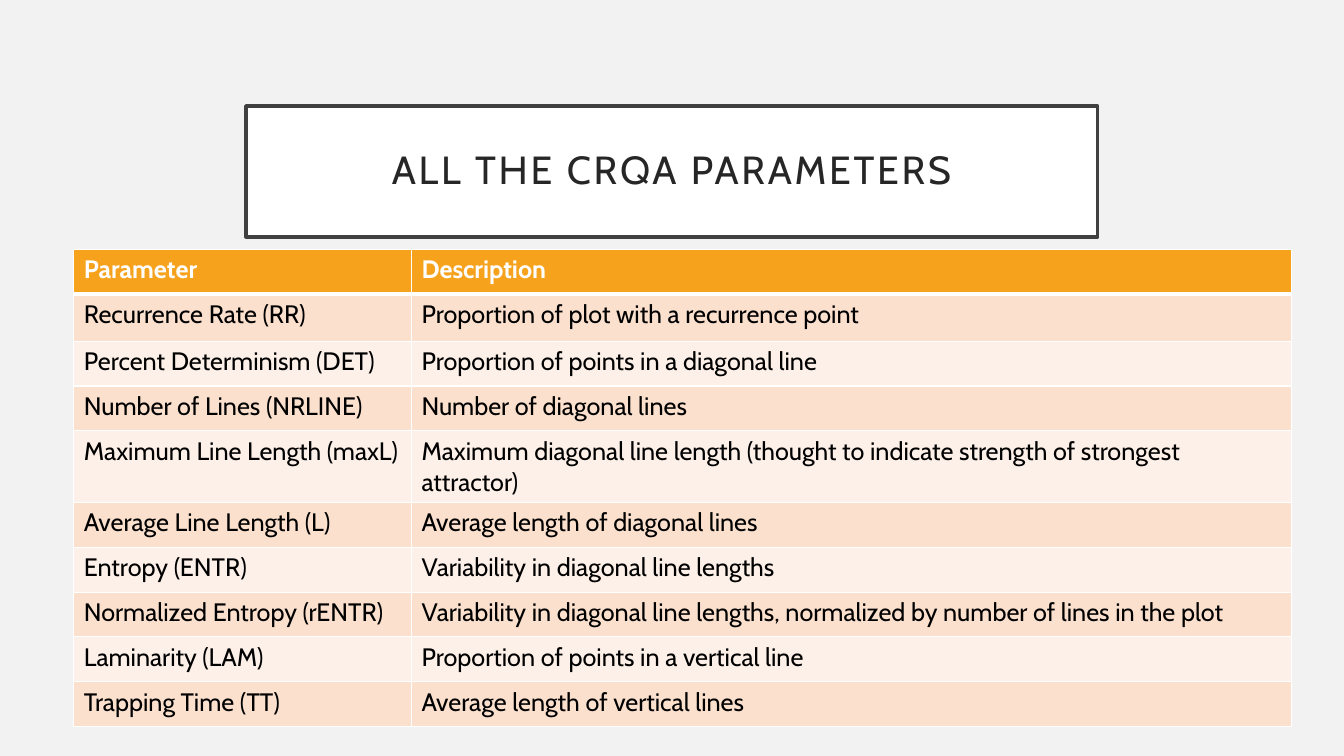
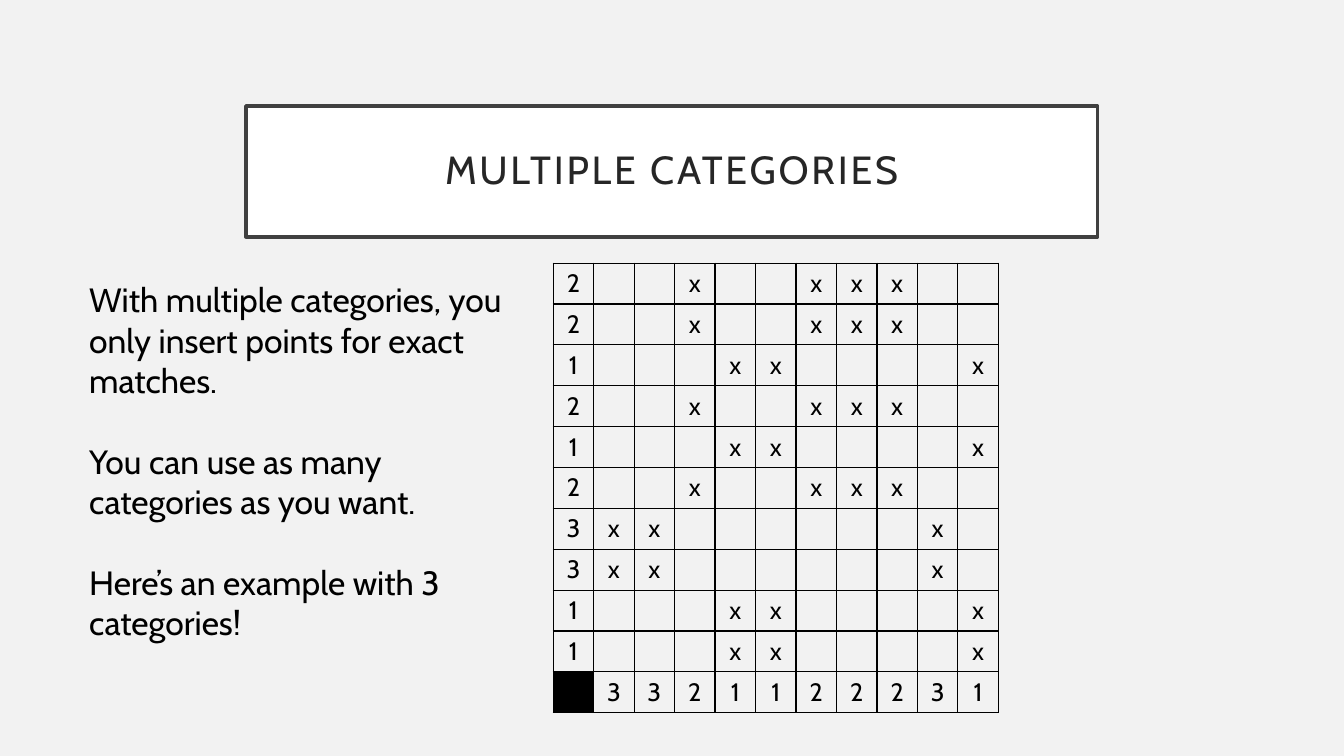
from lxml import etree
from pptx import Presentation
from pptx.dml.color import RGBColor
from pptx.enum.text import MSO_ANCHOR, MSO_AUTO_SIZE, PP_ALIGN
from pptx.oxml.ns import qn
from pptx.util import Cm, Pt

CENTER, LEFT = PP_ALIGN.CENTER, PP_ALIGN.LEFT
MIDDLE, TOP = MSO_ANCHOR.MIDDLE, MSO_ANCHOR.TOP
FIT_SHAPE = MSO_AUTO_SIZE.SHAPE_TO_FIT_TEXT
TITLE_ONLY = 5

FONT = "Cabin"
COLORS = {
    "background": "F2F2F2",
    "white": "FFFFFF",
    "black": "000000",
    "title_text": "262626",
    "title_line": "404040",
    "header": "F6A21D",
    "band_dark": "FBE0CD",
    "band_light": "FDF0E8",
}

PARAMETERS = [
    ("Parameter", "Description"),
    ("Recurrence Rate (RR)", "Proportion of plot with a recurrence point"),
    ("Percent Determinism (DET)", "Proportion of points in a diagonal line"),
    ("Number of Lines (NRLINE)", "Number of diagonal lines"),
    ("Maximum Line Length (maxL)",
     "Maximum diagonal line length (thought to indicate strength of strongest attractor)"),
    ("Average Line Length (L)", "Average length of diagonal lines"),
    ("Entropy (ENTR)", "Variability in diagonal line lengths"),
    ("Normalized Entropy (rENTR)",
     "Variability in diagonal line lengths, normalized by number of lines in the plot"),
    ("Laminarity (LAM)", "Proportion of points in a vertical line"),
    ("Trapping Time (TT)", "Average length of vertical lines"),
]

ROW_CATEGORIES = "2212123311"  # top to bottom
COLUMN_CATEGORIES = "3321122231"  # left to right

EXPLANATION = [
    "With multiple categories, you only insert points for exact matches.",
    "You can use as many categories as you want.",
    "Here’s an example with 3 categories!",
]


def rgb(name):
    return RGBColor.from_string(COLORS[name])


def add_run(paragraph, text, size, color, bold=False):
    run = paragraph.add_run()
    run.text = text
    run.font.name = FONT
    run.font.size = Pt(size)
    run.font.bold = bold
    run.font.color.rgb = rgb(color)
    return run


def add_titled_slide(presentation, text):
    slide = presentation.slides.add_slide(presentation.slide_layouts[TITLE_ONLY])
    title = slide.shapes.title
    title.left, title.top, title.width, title.height = Cm(6.2), Cm(2.67), Cm(21.46), Cm(3.3)
    title.fill.solid()
    title.fill.fore_color.rgb = rgb("white")
    title.line.color.rgb = rgb("title_line")
    title.line.width = Pt(2.5)

    frame = title.text_frame
    frame.word_wrap = True
    frame.vertical_anchor = MIDDLE
    frame.margin_left = frame.margin_right = Cm(0.5)
    frame.margin_top = frame.margin_bottom = Cm(0.5)
    paragraph = frame.paragraphs[0]
    paragraph.alignment = CENTER
    paragraph.line_spacing = 0.9
    run = add_run(paragraph, text, 28, "title_text")
    run.font._element.set("spc", "200")
    return slide


def add_plain_table(slide, left, top, column_widths, row_heights):
    table = slide.shapes.add_table(
        len(row_heights), len(column_widths), Cm(left), Cm(top),
        Cm(sum(column_widths)), Cm(sum(row_heights))).table
    table.first_row = table.horz_banding = False
    for column, width in zip(table.columns, column_widths):
        column.width = Cm(width)
    for row, height in zip(table.rows, row_heights):
        row.height = Cm(height)
    return table


def set_borders(cell, color, **widths):
    """Draw 1 pt borders; widths overrides single sides (L, R, T, B)."""
    properties = cell._tc.get_or_add_tcPr()
    for side in "LRTB":
        line = etree.SubElement(properties, qn(f"a:ln{side}"), w=str(Pt(widths.get(side, 1))))
        fill = etree.SubElement(line, qn("a:solidFill"))
        etree.SubElement(fill, qn("a:srgbClr"), val=COLORS[color])


def fill_cell(cell, text, color, fill=None, bold=False, alignment=LEFT, anchor=TOP):
    if fill:
        cell.fill.solid()
        cell.fill.fore_color.rgb = rgb(fill)
    else:
        cell.fill.background()
    cell.vertical_anchor = anchor
    paragraph = cell.text_frame.paragraphs[0]
    paragraph.alignment = alignment
    if text:
        add_run(paragraph, text, 18, color, bold)


def add_parameter_table(slide):
    row_heights = [1.13, 1.19] + [1.13] * (len(PARAMETERS) - 2)
    table = add_plain_table(slide, 1.86, 6.28, [8.51, 22.17], row_heights)
    table.first_row = True
    for row, texts in enumerate(PARAMETERS):
        is_header = row == 0
        band = "band_dark" if row % 2 else "band_light"
        for column, text in enumerate(texts):
            cell = table.cell(row, column)
            set_borders(cell, "white", T=3 if row == 1 else 1, B=3 if is_header else 1)
            fill_cell(cell, text, "white" if is_header else "black",
                      "header" if is_header else band, bold=is_header)


def add_recurrence_plot(slide):
    # A point marks each pair of equal categories; labels run left and below
    grid = [[label] + ["x" if label == other else "" for other in COLUMN_CATEGORIES]
            for label in ROW_CATEGORIES]
    grid.append(["", *COLUMN_CATEGORIES])
    corner = (len(grid) - 1, 0)

    table = add_plain_table(slide, 13.94, 6.63, [1.02] * len(grid[0]), [1.03] * len(grid))
    for row, texts in enumerate(grid):
        for column, text in enumerate(texts):
            cell = table.cell(row, column)
            cell.margin_top = cell.margin_bottom = 0
            set_borders(cell, "black")
            fill_cell(cell, text, "black", "black" if (row, column) == corner else None,
                      alignment=CENTER, anchor=MIDDLE)


def add_explanation(slide):
    frame = slide.shapes.add_textbox(Cm(2), Cm(6.91), Cm(11), Cm(9.5)).text_frame
    frame.word_wrap = True
    frame.auto_size = FIT_SHAPE
    for index, text in enumerate(EXPLANATION):
        paragraph = frame.add_paragraph() if index else frame.paragraphs[0]
        if index:
            paragraph.space_before = Pt(29)
        add_run(paragraph, text, 24, "black")


def main():
    presentation = Presentation()
    presentation.slide_width, presentation.slide_height = Cm(33.87), Cm(19.05)
    background = presentation.slide_master.background.fill
    background.solid()
    background.fore_color.rgb = rgb("background")

    # Slide 1: table of parameters
    add_parameter_table(add_titled_slide(presentation, "ALL THE CRQA PARAMETERS"))

    # Slide 2: recurrence plot with three categories
    slide = add_titled_slide(presentation, "MULTIPLE CATEGORIES")
    add_recurrence_plot(slide)
    add_explanation(slide)

    presentation.save("out.pptx")


if __name__ == "__main__":
    main()
